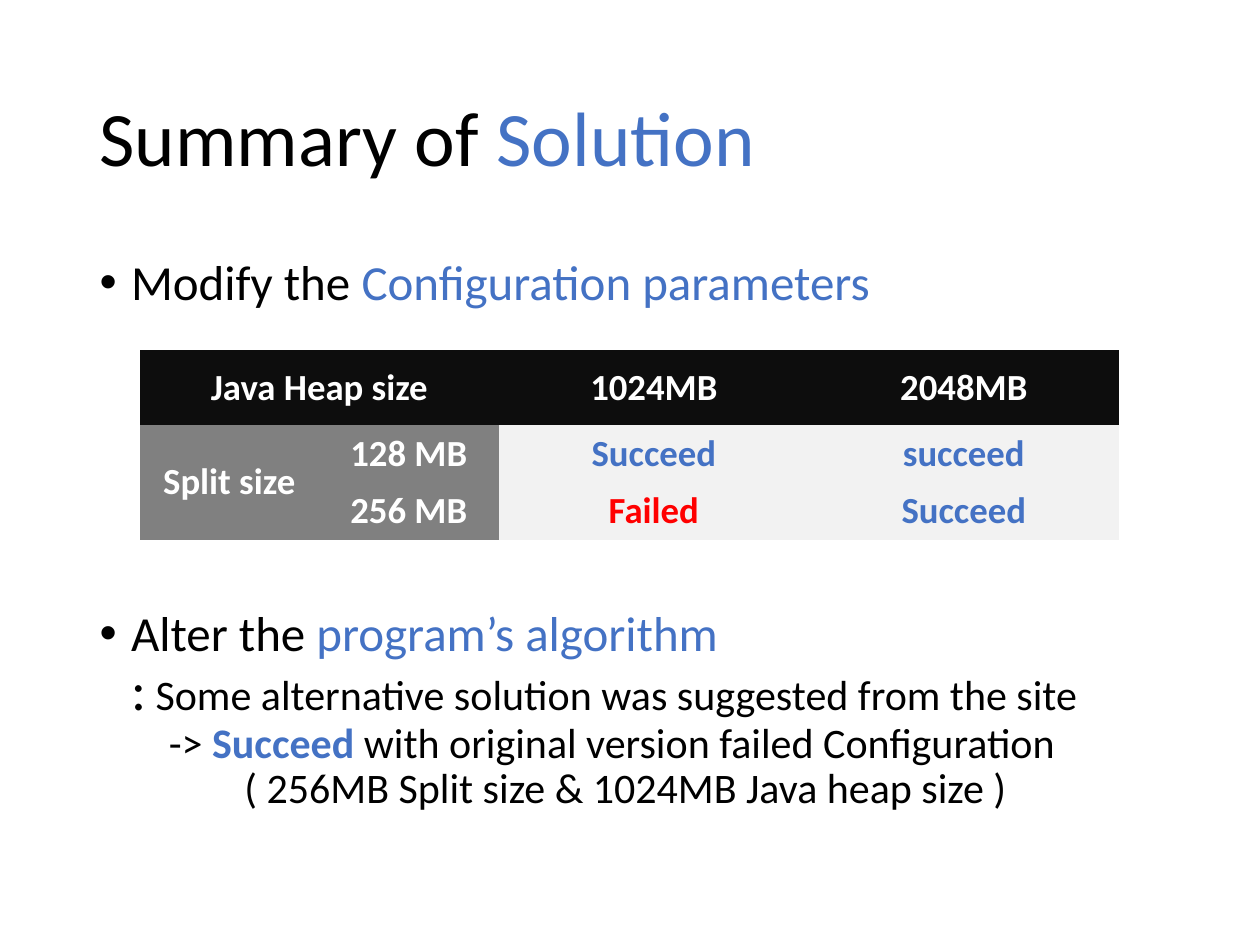
from dataclasses import dataclass

from lxml.etree import SubElement
from pptx import Presentation
from pptx.dml.color import RGBColor
from pptx.enum.text import MSO_ANCHOR, MSO_AUTO_SIZE, PP_ALIGN
from pptx.oxml.ns import qn
from pptx.util import Inches, Pt

COLUMNS, ROWS = 100, 75
PLAIN_TABLE_STYLE = "{2D5ABB26-0587-4C30-8999-92F81FD0307C}"


@dataclass(frozen=True)
class Theme:
    """Colours, font and type sizes of the slide."""

    font: str = "Calibri"
    text: str = "000000"
    accent: str = "4472C4"
    alert: str = "FF0000"
    light_text: str = "FFFFFF"
    header_fill: str = "0D0D0D"
    label_fill: str = "808080"
    value_fill: str = "F2F2F2"
    title_size: int = 44
    bullet_size: int = 28
    colon_size: int = 32
    detail_size: int = 24
    table_size: int = 21
    line_spacing: float = 0.9


def add_text(paragraph, text, *, font, size, color, bold=False):
    """Add a formatted run to a paragraph."""
    run = paragraph.add_run()
    run.text = text
    run.font.name = font
    run.font.size = Pt(size)
    run.font.bold = bold
    run.font.color.rgb = RGBColor.from_string(color)


class SlideBuilder:
    """Place styled elements on one slide by grid columns and rows."""

    def __init__(self, presentation, theme):
        """Add a title and content slide."""
        self.theme = theme
        self.column = presentation.slide_width / COLUMNS
        self.row = presentation.slide_height / ROWS
        self.slide = presentation.slides.add_slide(presentation.slide_layouts[1])

    def box(self, left, top, width, height):
        """Turn grid values into lengths."""
        return (
            round(left * self.column),
            round(top * self.row),
            round(width * self.column),
            round(height * self.row),
        )

    def place(self, shape, area, anchor):
        """Move a placeholder and return its text frame."""
        shape.left, shape.top, shape.width, shape.height = self.box(*area)
        frame = shape.text_frame
        frame.word_wrap = True
        frame.auto_size = MSO_AUTO_SIZE.NONE
        frame.vertical_anchor = anchor
        return frame

    def fill_paragraph(self, paragraph, runs, space_before=0):
        """Fill a left-aligned paragraph with (text, format) runs."""
        paragraph.alignment = PP_ALIGN.LEFT
        paragraph.line_spacing = self.theme.line_spacing
        paragraph.space_before = Pt(space_before)
        paragraph.space_after = Pt(0)
        for text, style in runs:
            add_text(paragraph, text, **{"font": self.theme.font, "color": self.theme.text, **style})

    def title(self, area, runs):
        """Fill the title placeholder."""
        frame = self.place(self.slide.shapes.title, area, MSO_ANCHOR.MIDDLE)
        self.fill_paragraph(frame.paragraphs[0], runs)

    def body(self, area, items):
        """Fill the body placeholder with (indent, bullet, space, runs) items."""
        frame = self.place(self.slide.placeholders[1], area, MSO_ANCHOR.TOP)
        for index, (indent, bullet, space_before, runs) in enumerate(items):
            paragraph = frame.add_paragraph() if index else frame.paragraphs[0]
            properties = paragraph._p.get_or_add_pPr()
            margin = round(indent * self.column)
            properties.set("marL", str(margin))
            properties.set("indent", str(-margin if bullet else 0))
            if bullet:
                SubElement(properties, qn("a:buFont")).set("typeface", "Arial")
                SubElement(properties, qn("a:buChar")).set("char", "•")
            else:
                SubElement(properties, qn("a:buNone"))
            self.fill_paragraph(paragraph, runs, space_before)

    def table(self, area, column_widths, row_heights, cells, merges):
        """Add a table of (text, fill, colour) cells, with None where merged."""
        frame = self.slide.shapes.add_table(len(cells), len(column_widths), *self.box(*area))
        table = frame.table
        for style in frame._element.iter(qn("a:tableStyleId")):
            style.text = PLAIN_TABLE_STYLE
        for column, width in zip(table.columns, column_widths):
            column.width = round(width * self.column)
        for row, height in zip(table.rows, row_heights):
            row.height = round(height * self.row)
        for first, last in merges:
            table.cell(*first).merge(table.cell(*last))
        for row, contents in zip(table.rows, cells):
            for cell, content in zip(row.cells, contents):
                if content:
                    self.fill_cell(cell, *content)

    def fill_cell(self, cell, text, fill, color):
        """Set the fill and centred text of a table cell."""
        cell.fill.solid()
        cell.fill.fore_color.rgb = RGBColor.from_string(fill)
        cell.vertical_anchor = MSO_ANCHOR.MIDDLE
        paragraph = cell.text_frame.paragraphs[0]
        paragraph.alignment = PP_ALIGN.CENTER
        add_text(paragraph, text, font=self.theme.font, size=self.theme.table_size, color=color, bold=True)


def main():
    """Build and save the summary slide."""
    presentation = Presentation()
    presentation.slide_width, presentation.slide_height = Inches(10), Inches(7.5)
    theme = Theme()
    builder = SlideBuilder(presentation, theme)

    heading = {"size": theme.title_size}
    bullet = {"size": theme.bullet_size}
    colon = {"size": theme.colon_size}
    detail = {"size": theme.detail_size}
    accent = {"color": theme.accent}

    builder.title((6.9, 4, 86.2, 14.5), [("Summary of ", heading), ("Solution", heading | accent)])
    builder.body(
        (6.9, 20, 86.2, 47.6),
        [
            (2.5, True, 0, [("Modify the ", bullet), ("Configuration parameters", bullet | accent)]),
            (2.5, True, 170, [("Alter the ", bullet), ("program’s algorithm", bullet | accent)]),
            (2.5, False, 0, [(":", colon), (" Some alternative solution was suggested from the site", detail)]),
            (5.5, False, 0, [
                ("-> ", detail),
                ("Succeed", detail | accent | {"bold": True}),
                (" with original version failed Configuration", detail),
            ]),
            (11.5, False, 0, [("( 256MB Split size & 1024MB Java heap size )", detail)]),
        ],
    )

    header = (theme.header_fill, theme.light_text)
    label = (theme.label_fill, theme.light_text)
    success = (theme.value_fill, theme.accent)
    failure = (theme.value_fill, theme.alert)
    builder.table(
        (11.1, 27.8, 77.8, 15),
        (14.2, 14.3, 24.6, 24.6),
        (5.9, 4.55, 4.55),
        [
            [("Java Heap size", *header), None, ("1024MB", *header), ("2048MB", *header)],
            [("Split size", *label), ("128 MB", *label), ("Succeed", *success), ("succeed", *success)],
            [None, ("256 MB", *label), ("Failed", *failure), ("Succeed", *success)],
        ],
        [((0, 0), (0, 1)), ((1, 0), (2, 0))],
    )
    presentation.save("out.pptx")


if __name__ == "__main__":
    main()
